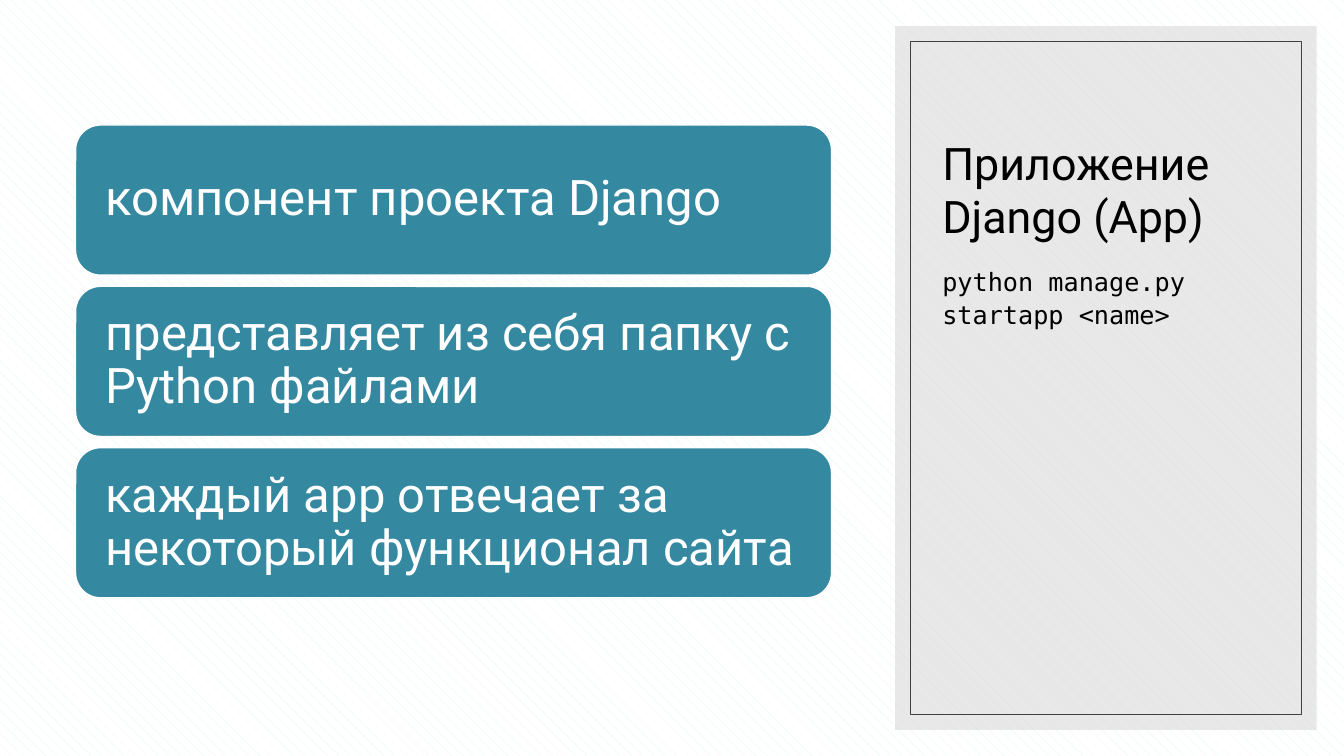
"""Build a slide that explains what a Django app is."""
import lxml.etree
import pptx
import pptx.dml.color
import pptx.enum.dml
import pptx.enum.shapes
import pptx.enum.text
import pptx.oxml.ns
import pptx.util

Pt = pptx.util.Pt
SHAPES = pptx.enum.shapes.MSO_SHAPE
ANCHORS = pptx.enum.text.MSO_ANCHOR

COLORS = {
    "paper": "FFFFFF",
    "hatch": "DEF4F7",
    "panel": "D9D9D9",
    "frame": "404040",
    "block": "3488A0",
    "ink": "000000",
}

FEATURES = [
    "компонент проекта Django",
    "представляет из себя папку с Python файлами",
    "каждый app отвечает за некоторый функционал сайта",
]


def color(name):
    return pptx.dml.color.RGBColor.from_string(COLORS[name])


def add_box(page, kind, box, fill=None, line=None, width=1, opacity=None):
    shape = page.shapes.add_shape(kind, *map(Pt, box))
    shape.shadow.inherit = False
    if fill:
        shape.fill.solid()
        shape.fill.fore_color.rgb = color(fill)
    else:
        shape.fill.background()
    if opacity is not None:
        tint = shape.fill._xPr.find(".//" + pptx.oxml.ns.qn("a:srgbClr"))
        alpha = lxml.etree.SubElement(tint, pptx.oxml.ns.qn("a:alpha"))
        alpha.set("val", str(opacity * 1000))
    if line:
        shape.line.color.rgb = color(line)
        shape.line.width = Pt(width)
    else:
        shape.line.fill.background()
    return shape


def write_text(shape, text, size, ink="ink", font="Roboto", anchor=ANCHORS.TOP,
               spacing=1.0, before=0, margins=(7.2, 3.6)):
    frame = shape.text_frame
    frame.word_wrap = True
    frame.vertical_anchor = anchor
    frame.margin_left = frame.margin_right = Pt(margins[0])
    frame.margin_top = frame.margin_bottom = Pt(margins[1])
    para = frame.paragraphs[0]
    para.alignment = pptx.enum.text.PP_ALIGN.LEFT
    para.line_spacing = spacing
    para.space_before = Pt(before)
    span = para.add_run()
    span.text = text
    span.font.size = Pt(size)
    span.font.name = font
    span.font.color.rgb = color(ink)


def paint_background(page):
    fill = page.background.fill
    fill.patterned()
    fill.pattern = pptx.enum.dml.MSO_PATTERN.SHINGLE
    fill.fore_color.rgb = color("hatch")
    fill.back_color.rgb = color("paper")


def draw_features(page, box, features, gap=8):
    left, top, width, height = box
    block_height = (height - gap * (len(features) - 1)) / len(features)
    for index, feature in enumerate(features):
        block_top = top + index * (block_height + gap)
        block = add_box(page, SHAPES.ROUNDED_RECTANGLE,
                        (left, block_top, width, block_height),
                        fill="block", line="paper")
        write_text(block, feature, 35, ink="paper", anchor=ANCHORS.MIDDLE,
                   spacing=0.9, margins=(16, 10.8))


def draw_panel(page, box, title, command, inset=10.8, indent=26.6):
    left, top, width, height = box
    add_box(page, SHAPES.RECTANGLE, box, fill="panel", opacity=60)
    add_box(page, SHAPES.RECTANGLE,
            (left + inset, top + inset, width - 2 * inset, height - 2 * inset),
            line="frame", width=0.5)
    text_left, text_width = left + indent, width - 2 * indent + 1.3
    heading = page.shapes.add_textbox(
        *map(Pt, (text_left, top + 28.8, text_width, 129.6)))
    write_text(heading, title, 32, anchor=ANCHORS.BOTTOM)
    body = page.shapes.add_textbox(
        *map(Pt, (text_left, top + 165.6, text_width, 283.7)))
    write_text(body, command, 18, font="DejaVu Sans Mono", spacing=1.1, before=8)


def main():
    deck = pptx.Presentation()
    deck.slide_width, deck.slide_height = Pt(960), Pt(540)
    page = deck.slides.add_slide(deck.slide_layouts[6])
    paint_background(page)
    draw_panel(page, (639.4, 18.7, 301, 502.6),
               "Приложение Django (App)", "python manage.py startapp <name>")
    draw_features(page, (54, 89.3, 540, 337.7), FEATURES)
    deck.save("out.pptx")


main()
